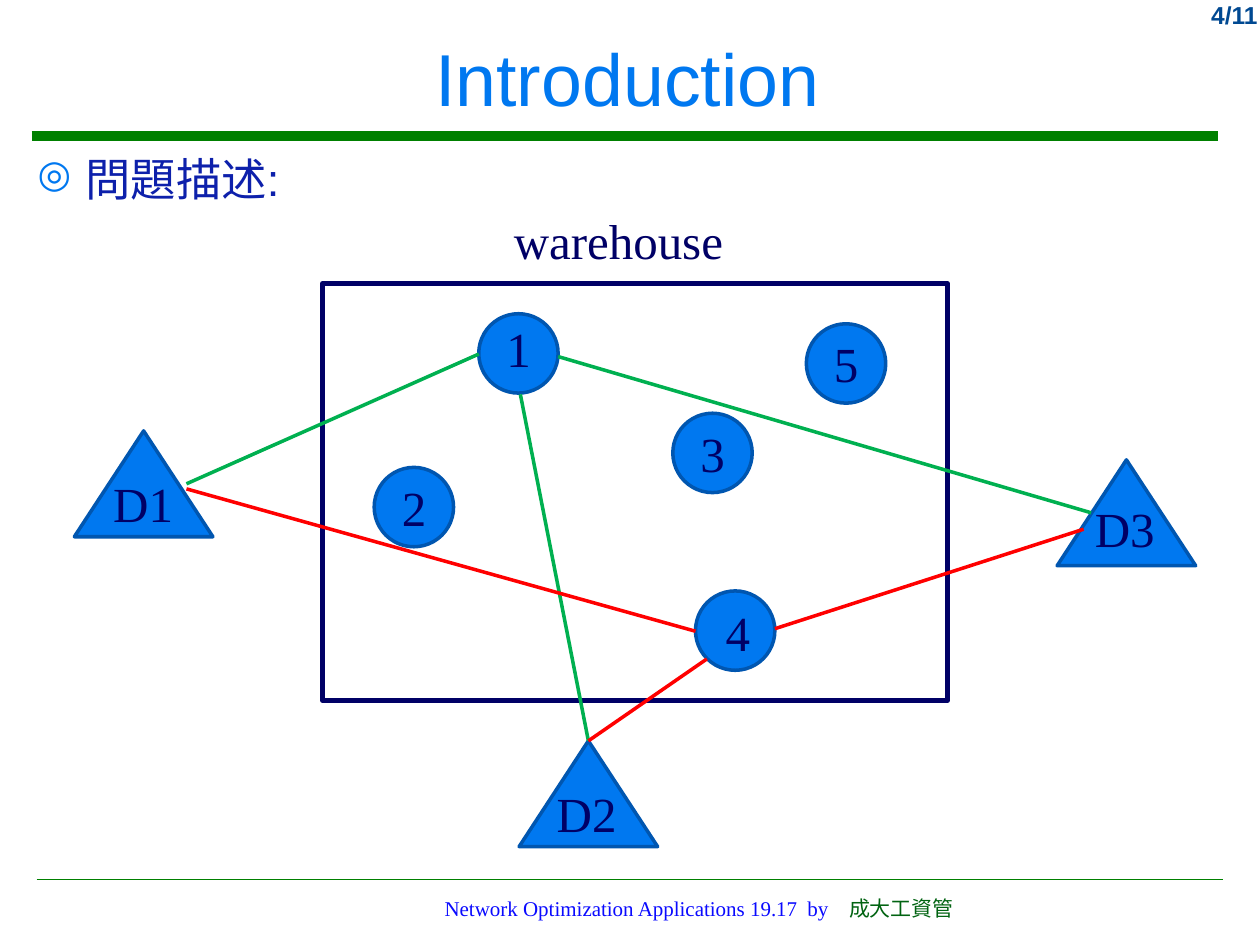
"""Build the Introduction slide with the warehouse and depot network."""
import lxml.etree
import pptx
import pptx.dml.color
import pptx.enum.shapes
import pptx.enum.text
import pptx.oxml
import pptx.oxml.ns
import pptx.util

PX = 9144
COLOURS = {
    name: pptx.dml.color.RGBColor.from_string(value)
    for name, value in {
        "blue": "0078F0", "edge": "0056B0", "navy": "000066", "rule": "008000",
        "page": "004992", "topic": "0D20AB", "footer": "0A0AFF", "school": "016311",
        "green": "00B050", "red": "FF0000",
    }.items()
}
THEME = {
    "title": ({"name": "Arial", "size": pptx.util.Pt(42), "bold": False}, "blue"),
    "page": ({"name": "Arial", "size": pptx.util.Pt(14), "bold": True}, "page"),
    "topic": ({"name": "Arial", "size": pptx.util.Pt(25.9)}, "topic"),
    "footer": ({"name": "Times New Roman", "size": pptx.util.Pt(12)}, "footer"),
    "school": ({"name": "Times New Roman", "size": pptx.util.Pt(12)}, "school"),
    "label": ({"name": "Times New Roman", "size": pptx.util.Pt(28)}, "navy"),
}
ALIGN = pptx.enum.text.PP_ALIGN
AUTO_SIZE = pptx.enum.text.MSO_AUTO_SIZE
SHAPE = pptx.enum.shapes.MSO_SHAPE


def write_text(shape, runs, wrap=True, alignment=ALIGN.LEFT):
    frame = shape.text_frame
    frame.word_wrap = wrap
    frame.auto_size = AUTO_SIZE.NONE if wrap else AUTO_SIZE.SHAPE_TO_FIT_TEXT
    paragraph = frame.paragraphs[0]
    paragraph.alignment = alignment
    for text, style in runs:
        run = paragraph.add_run()
        run.text = text
        font_values, colour = THEME[style]
        for attribute, value in font_values.items():
            setattr(run.font, attribute, value)
        run.font.color.rgb = COLOURS[colour]
    return paragraph


def draw_line(points, colour, width):
    connector = slide.shapes.add_connector(
        pptx.enum.shapes.MSO_CONNECTOR.STRAIGHT, *[value * PX for value in points])
    connector.line.color.rgb = COLOURS[colour]
    connector.line.width = pptx.util.Pt(width)
    lxml.etree.SubElement(connector._element.spPr, pptx.oxml.ns.qn("a:effectLst"))


presentation = pptx.Presentation()
presentation.slide_width, presentation.slide_height = 1000 * PX, 750 * PX
slide = presentation.slides.add_slide(presentation.slide_layouts[5])

draw_line((25, 108, 967, 108), "rule", 5.25)
draw_line((29, 698, 971, 698), "rule", 1)

title = slide.shapes.title
for attribute, value in {"left": 8, "top": 8, "width": 980, "height": 106}.items():
    setattr(title, attribute, value * PX)
title.text_frame.vertical_anchor = pptx.enum.text.MSO_ANCHOR.MIDDLE
write_text(title, [("Introduction", "title")], alignment=ALIGN.CENTER)

text_boxes = {
    "page": ((917, -5, 91, 57), [("4/11", "page")], ALIGN.RIGHT),
    "topic": ((20, 115, 960, 55), [("問題描述:", "topic")], ALIGN.LEFT),
    "footer": (
        (343, 706, 639, 40),
        [("Network Optimization Applications 19.17\tby\t", "footer"), ("成大工資管", "school")],
        ALIGN.LEFT,
    ),
}
paragraphs = {}
for name, (box, runs, alignment) in text_boxes.items():
    shape = slide.shapes.add_textbox(*[value * PX for value in box])
    paragraphs[name] = write_text(shape, runs, alignment=alignment)

namespace = pptx.oxml.ns.nsdecls("a")
topic_properties = paragraphs["topic"]._p.get_or_add_pPr()
topic_properties.set("marL", str(38 * PX))
topic_properties.set("indent", str(-38 * PX))
for bullet_part in (
    f'<a:buClr {namespace}><a:srgbClr val="{COLOURS["blue"]}"/></a:buClr>',
    f'<a:buSzPct {namespace} val="85000"/>',
    f'<a:buChar {namespace} char="◎"/>',
):
    topic_properties.append(pptx.oxml.parse_xml(bullet_part))

footer_tabs = "".join(f'<a:tab pos="{stop * PX}" algn="l"/>' for stop in (288, 321))
paragraphs["footer"]._p.get_or_add_pPr().append(
    pptx.oxml.parse_xml(f"<a:tabLst {namespace}>{footer_tabs}</a:tabLst>"))

warehouse = slide.shapes.add_shape(
    SHAPE.RECTANGLE, *[value * PX for value in (256, 225, 496, 331)])
warehouse.shadow.inherit = False
warehouse.fill.background()
warehouse.line.color.rgb = COLOURS["navy"]
warehouse.line.width = pptx.util.Pt(2.75)

circle, triangle = (SHAPE.OVAL, 63, 63, 39), (SHAPE.ISOSCELES_TRIANGLE, 110, 84, 69)
nodes = [
    ("1", circle, (380, 249), (392, 248)),
    ("5", circle, (640, 257), (652, 260)),
    ("4", circle, (552, 469), (566, 473)),
    ("2", circle, (297, 371), (309, 374)),
    ("3", circle, (534, 328), (546, 331)),
    ("D1", triangle, (59, 342), (80, 371)),
    ("D3", triangle, (839, 365), (859, 391)),
    ("D2", triangle, (412, 588), (432, 617)),
]
labels = [("warehouse", (398, 162), 186)]
for text, (kind, width, height, label_width), corner, label_corner in nodes:
    node = slide.shapes.add_shape(
        kind, *[value * PX for value in (*corner, width, height)])
    node.shadow.inherit = False
    node.fill.solid()
    node.fill.fore_color.rgb = COLOURS["blue"]
    node.line.color.rgb = COLOURS["edge"]
    node.line.width = pptx.util.Pt(2)
    labels.append((text, label_corner, label_width))

for text, corner, width in labels:
    label = slide.shapes.add_textbox(*[value * PX for value in (*corner, width, 57)])
    write_text(label, [(text, "label")], wrap=False)

routes = {
    "green": [(148, 384, 380, 281), (443, 283, 866, 407), (467, 588, 413, 313)],
    "red": [(561, 523, 467, 588), (860, 420, 615, 499), (552, 501, 148, 388)],
}
for colour, segments in routes.items():
    for points in segments:
        draw_line(points, colour, 2)

presentation.save("out.pptx")
